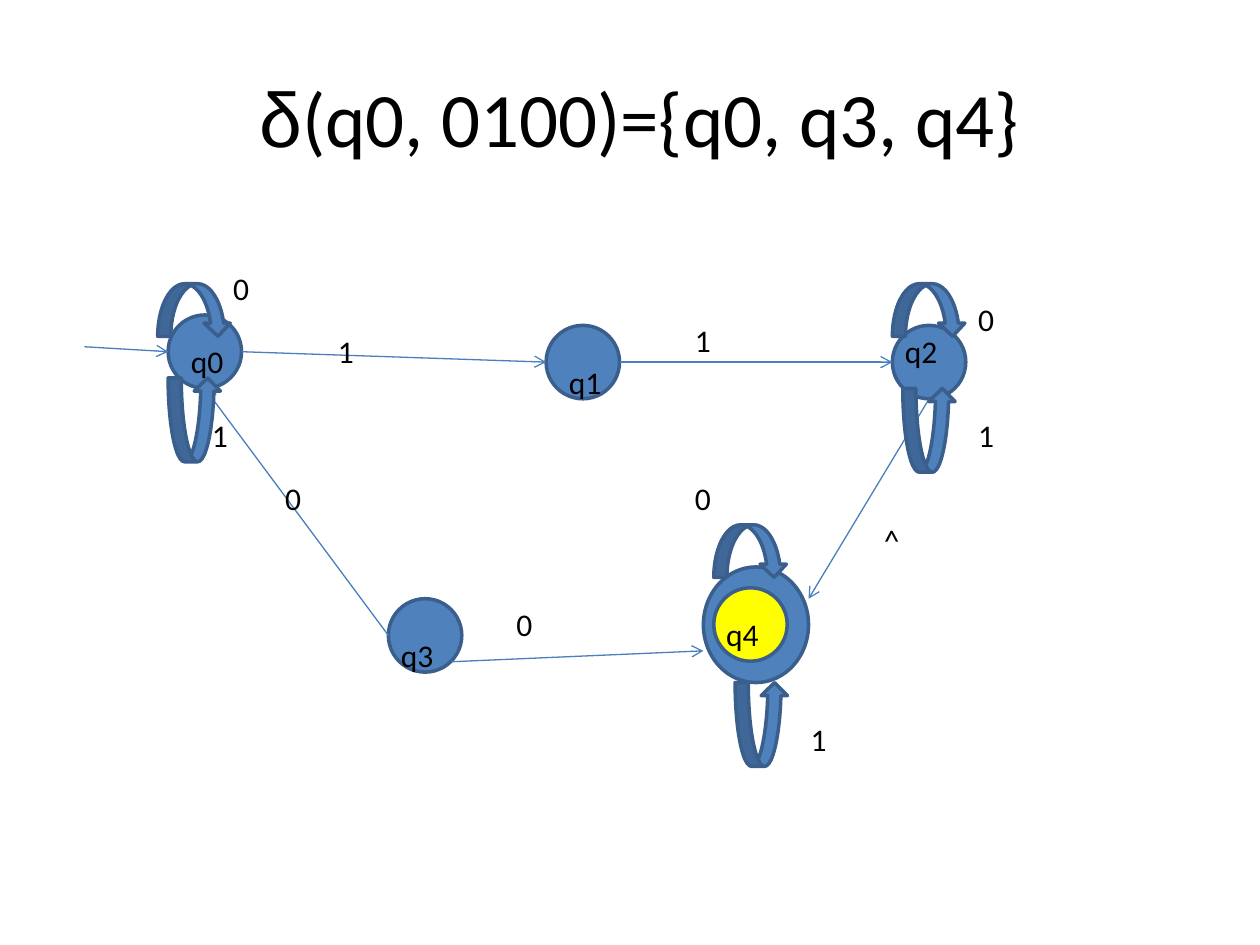
from lxml.etree import SubElement as Sub
from pptx import Presentation as Deck
from pptx.dml.color import RGBColor as RGB
from pptx.enum.shapes import MSO_CONNECTOR as Link, MSO_SHAPE as Kind
from pptx.enum.text import MSO_ANCHOR as Anchor, MSO_AUTO_SIZE as Fit, PP_ALIGN as Align
from pptx.oxml.ns import qn
from pptx.util import Cm, Pt

BLUE, EDGE, WIRE = "4F81BD", "3A5F8C", "4B7EBC"
YELLOW, BLACK = "FFFF00", "000000"
SIZE = 1.48

STATES = [
    (3.39, 6.35, SIZE, SIZE, BLUE),
    (11.01, 6.56, SIZE, SIZE, BLUE),
    (17.99, 6.56, SIZE, SIZE, BLUE),
    (7.83, 12.07, SIZE, SIZE, BLUE),
    (14.18, 11.43, 2.12, 2.33, BLUE),
    (14.39, 11.85, SIZE, SIZE, YELLOW),
]
MOVES = [
    (1.7, 6.99, 3.39, 7.09),
    (4.87, 7.09, 11.01, 7.3),
    (12.49, 7.3, 17.99, 7.3),
    (18.73, 8.04, 16.3, 12.07),
    (7.83, 12.81, 4.13, 7.83),
    (9.1, 13.34, 14.18, 13.12),
]
LABELS = [
    ("q0", 3.6, 6.77, 1.48),
    ("q1", 11.22, 7.2, 1.27),
    ("q2", 17.99, 6.56, 1.48),
    ("q3", 7.83, 12.7, 1.69),
    ("q4", 14.39, 12.28, 1.27),
    ("0", 4.45, 5.29, 0.85),
    ("1", 4.02, 8.26, 0.85),
    ("1", 6.56, 6.56, 1.48),
    ("1", 13.76, 6.35, 1.27),
    ("0", 5.5, 9.53, 1.27),
    ("0", 10.16, 12.07, 1.91),
    ("1", 16.09, 14.39, 0.85),
    ("0", 13.76, 9.53, 1.91),
    ("0", 19.47, 5.93, 0.85),
    ("1", 19.47, 8.26, 1.06),
    ("^", 17.57, 10.37, 0.85),
]
UPPER = [(3.18, 5.72), (14.39, 10.58), (17.99, 5.72)]
LOWER = [(3.39, 7.62), (14.82, 13.76), (18.2, 7.83)]


def tint(text):
    return RGB.from_string(text)


def apply(item, vals):
    for key, val in vals.items():
        setattr(item, key, val)


def shape(slide, kind, x, y, w, h, fill):
    item = slide.shapes.add_shape(kind, Cm(x), Cm(y), Cm(w), Cm(h))
    item.shadow.inherit = False
    item.fill.solid()
    item.fill.fore_color.rgb = tint(fill)
    item.line.color.rgb = tint(EDGE)
    item.line.width = Pt(2)


def arrow(slide, *ends):
    item = slide.shapes.add_connector(Link.STRAIGHT, *map(Cm, ends))
    item.line.color.rgb = tint(WIRE)
    item.line.width = Pt(0.75)
    Sub(item.line._get_or_add_ln(), qn("a:tailEnd"), type="arrow")
    Sub(item._element.spPr, qn("a:effectLst"))


def write(slide, x, y, w, h, runs, size, frame, align):
    box = slide.shapes.add_textbox(Cm(x), Cm(y), Cm(w), Cm(h)).text_frame
    apply(box, {"word_wrap": True, **frame})
    para = box.paragraphs[0]
    para.alignment = align
    for text, face in runs:
        run = para.add_run()
        run.text = text
        apply(run.font, {"name": face, "size": Pt(size)})
        run.font.color.rgb = tint(BLACK)


def main():
    deck = Deck()
    apply(deck, {"slide_width": Cm(25.4), "slide_height": Cm(19.05)})
    slide = deck.slides.add_slide(deck.slide_layouts[6])
    title = [
        (" ", "Times New Roman"),
        ("δ", "Arial"),
        ("(q0, 0100)={q0, q3, q4}", "Calibri"),
    ]
    write(slide, 1.27, 0.76, 22.86, 3.18, title, 44,
          {"vertical_anchor": Anchor.MIDDLE}, Align.CENTER)
    for state in STATES:
        shape(slide, Kind.OVAL, *state)
    for move in MOVES:
        arrow(slide, *move)
    for text, x, y, w in LABELS:
        write(slide, x, y, w, 1.03, [(text, "Calibri")], 18,
              {"auto_size": Fit.SHAPE_TO_FIT_TEXT}, Align.LEFT)
    for x, y in UPPER:
        shape(slide, Kind.CURVED_DOWN_ARROW, x, y, SIZE, 1.06, BLUE)
    for x, y in LOWER:
        shape(slide, Kind.CURVED_UP_ARROW, x, y, 1.06, 1.69, BLUE)
    deck.save("out.pptx")


if __name__ == "__main__":
    main()
